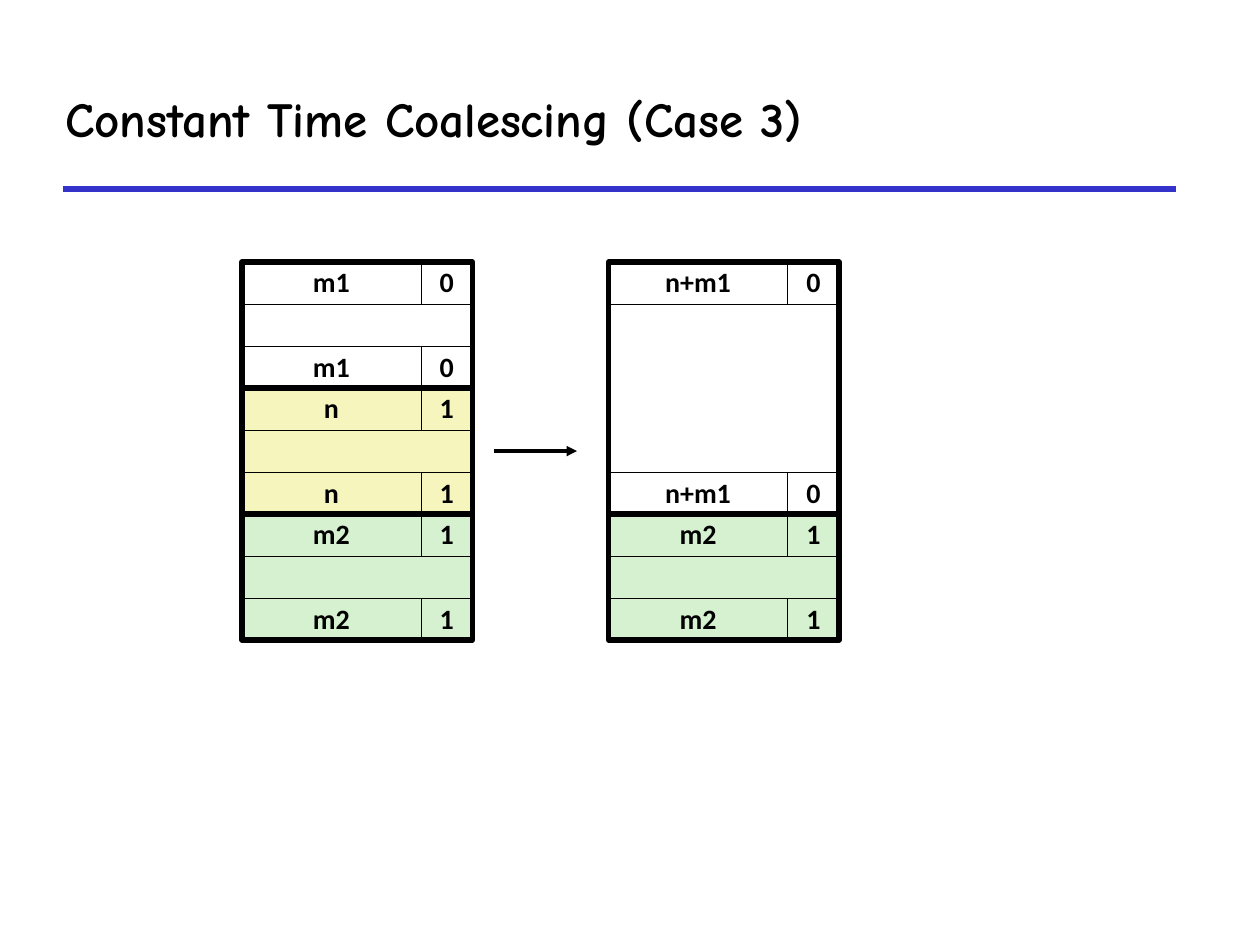
from dataclasses import dataclass

from lxml import etree
from pptx import Presentation
from pptx import util as u
from pptx.dml.color import RGBColor
from pptx.enum import shapes, text
from pptx.oxml import ns


@dataclass(frozen=True)
class Theme:
    ink: str = "000000"
    rule: str = "3333CC"
    white: str = "FFFFFF"
    yellow: str = "F6F5BD"
    green: str = "D5F1CF"
    head_font: str = "Comic Neue"
    cell_font: str = "Calibri"
    head_size: int = 28
    cell_size: int = 16
    thin: float = 0.25
    mid: float = 2
    thick: float = 3


ROW = 1 / 3
SIZE_W, FLAG_W = 1.42, 0.41
FULL_W = SIZE_W + FLAG_W


class Painter:
    def __init__(self, slide, theme):
        self.slide = slide
        self.theme = theme

    def label(self, frame, words, font, size, align):
        frame.vertical_anchor = text.MSO_ANCHOR.MIDDLE
        para = frame.paragraphs[0]
        para.alignment = align
        run = para.add_run()
        run.text = words
        run.font.name = font
        run.font.size = u.Pt(size)
        run.font.bold = True
        run.font.color.rgb = RGBColor.from_string(self.theme.ink)
        return para

    def title(self, words, left, top, width, height):
        box = self.slide.shapes.add_textbox(*map(u.Inches, (left, top, width, height)))
        box.text_frame.word_wrap = True
        self.label(box.text_frame, words, self.theme.head_font,
                   self.theme.head_size, text.PP_ALIGN.LEFT)

    def rect(self, left, top, width, height, fill=None, weight=None, words=""):
        shape = self.slide.shapes.add_shape(
            shapes.MSO_SHAPE.RECTANGLE, *map(u.Inches, (left, top, width, height)))
        shape.shadow.inherit = False
        if fill:
            shape.fill.solid()
            shape.fill.fore_color.rgb = RGBColor.from_string(fill)
        else:
            shape.fill.background()
        shape.line.color.rgb = RGBColor.from_string(self.theme.ink)
        shape.line.width = u.Pt(weight or self.theme.thin)
        if words:
            shape.text_frame.word_wrap = False
            para = self.label(shape.text_frame, words, self.theme.cell_font,
                              self.theme.cell_size, text.PP_ALIGN.CENTER)
            para.line_spacing = 0.98

    def line(self, start, end, color, weight, arrow=False):
        line = self.slide.shapes.add_connector(
            shapes.MSO_CONNECTOR.STRAIGHT, *map(u.Inches, start + end))
        line.line.color.rgb = RGBColor.from_string(color)
        line.line.width = u.Pt(weight)
        props = line._element.spPr
        if arrow:
            etree.SubElement(props.find(ns.qn("a:ln")), ns.qn("a:tailEnd"),
                             type="triangle")
        etree.SubElement(props, ns.qn("a:effectLst"))

    def block(self, left, top, size, flag, fill, rows=3):
        """Header, payload and footer of one memory block; returns its bottom."""
        self.rect(left, top + ROW, FULL_W, (rows - 2) * ROW, fill)
        for tag in (top, top + (rows - 1) * ROW):
            self.rect(left, tag, SIZE_W, ROW, fill, words=size)
            self.rect(left + SIZE_W, tag, FLAG_W, ROW, fill, words=flag)
        self.rect(left, top, FULL_W, rows * ROW, weight=self.theme.thick)
        return top + rows * ROW


def main():
    deck = Presentation()
    deck.slide_width, deck.slide_height = u.Inches(10), u.Inches(7.5)
    theme = Theme()
    paint = Painter(deck.slides.add_slide(deck.slide_layouts[6]), theme)

    # Title and rule
    paint.line((0.5, 1.5), (9.33, 1.5), theme.rule, theme.thick)
    paint.title("Constant Time Coalescing (Case 3)", 0.42, 0.62, 9.17, 0.63)

    # Heap before and after the free
    before = [("m1", "0", theme.white, 3), ("n", "1", theme.yellow, 3),
              ("m2", "1", theme.green, 3)]
    after = [("n+m1", "0", theme.white, 6), ("m2", "1", theme.green, 3)]
    for left, heap in ((1.92, before), (4.83, after)):
        top = 2.08
        for size, flag, fill, rows in heap:
            top = paint.block(left, top, size, flag, fill, rows)

    # Arrow between the two states
    paint.line((3.92, 3.58), (4.58, 3.58), theme.ink, theme.mid, arrow=True)

    deck.save("out.pptx")


if __name__ == "__main__":
    main()
